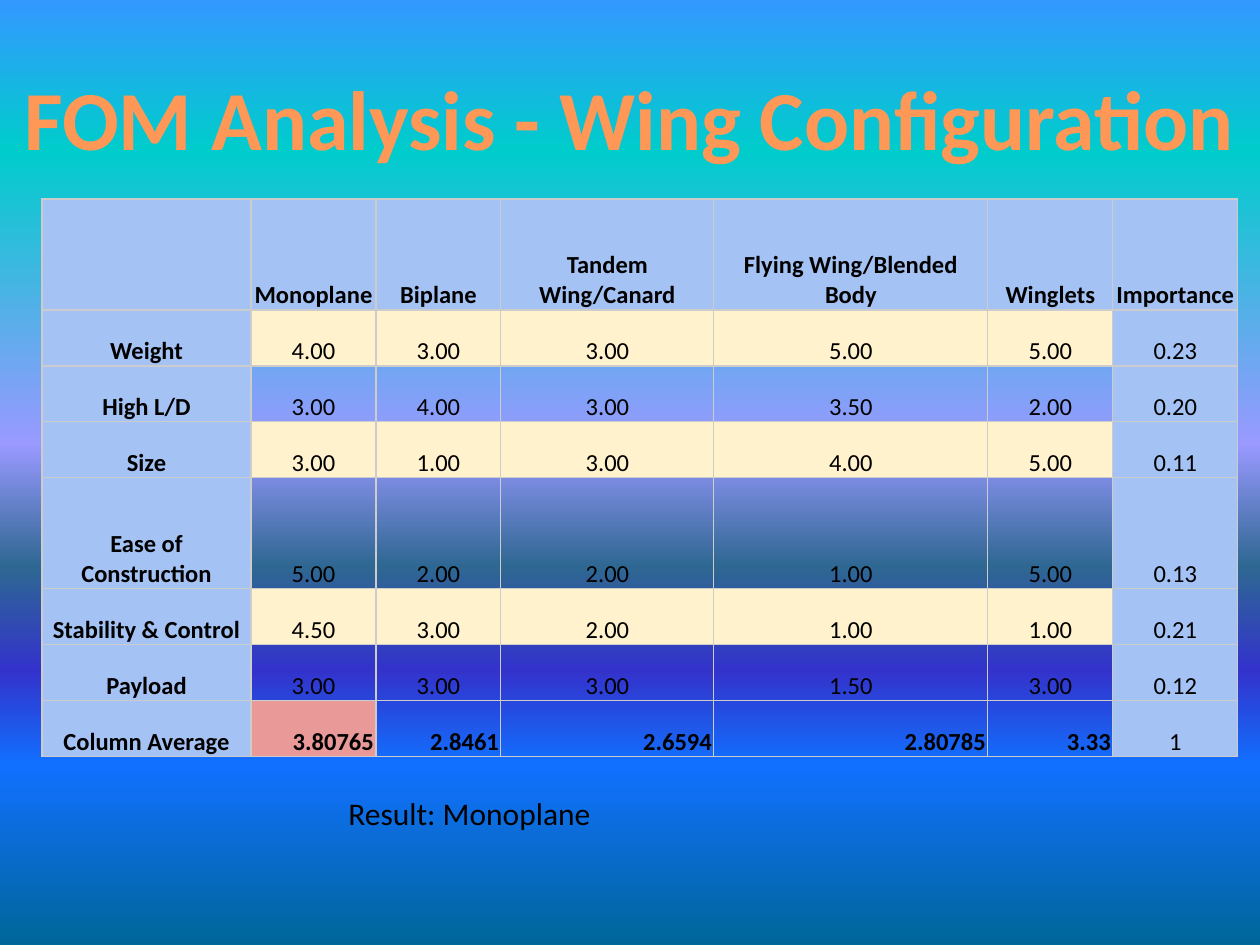
"""Build the wing configuration figure-of-merit slide."""
from lxml import etree
from pptx import Presentation
from pptx.dml.color import RGBColor
from pptx.enum.text import MSO_ANCHOR, MSO_AUTO_SIZE, PP_ALIGN
from pptx.oxml.ns import qn
from pptx.util import Pt

LEFT, CENTER, RIGHT = PP_ALIGN.LEFT, PP_ALIGN.CENTER, PP_ALIGN.RIGHT
TOP, MIDDLE, BOTTOM = MSO_ANCHOR.TOP, MSO_ANCHOR.MIDDLE, MSO_ANCHOR.BOTTOM
GROW = MSO_AUTO_SIZE.SHAPE_TO_FIT_TEXT
BLUE, CREAM, PINK, GREY = "A4C2F4", "FFF2CC", "EA9999", "CCCCCC"
STOPS = [(0, "3399FF"), (16, "00CCCC"), (47, "9999FF"), (60, "2E6792"),
         (71, "3333CC"), (81, "1170FF"), (100, "006699")]
COLS = [209, 125, 125, 213, 274, 125, 125]
ROWS = [111, 56, 56, 56, 111, 56, 56, 56]
SCORES = [
    ["", "Monoplane", "Biplane", "Tandem Wing/Canard",
     "Flying Wing/Blended Body", "Winglets", "Importance"],
    ["Weight", "4.00", "3.00", "3.00", "5.00", "5.00", "0.23"],
    ["High L/D", "3.00", "4.00", "3.00", "3.50", "2.00", "0.20"],
    ["Size", "3.00", "1.00", "3.00", "4.00", "5.00", "0.11"],
    ["Ease of Construction", "5.00", "2.00", "2.00", "1.00", "5.00", "0.13"],
    ["Stability & Control", "4.50", "3.00", "2.00", "1.00", "1.00", "0.21"],
    ["Payload", "3.00", "3.00", "3.00", "1.50", "3.00", "0.12"],
    ["Column Average", "3.80765", "2.8461", "2.6594", "2.80785", "3.33", "1"],
]


def px(count):
    """Turn pixels into EMU."""
    return round(count * 914400 / 126)


def rgb(code):
    """Turn a hex string into a colour."""
    return RGBColor.from_string(code)


def put(item, values):
    """Set attributes from a dict."""
    for name, value in values.items():
        setattr(item, name, value)


def write(frame, text, size, color="000000", bold=False, align=LEFT):
    """Write one formatted paragraph into a text frame."""
    para = frame.paragraphs[0]
    para.alignment = align
    run = para.add_run()
    run.text = text
    put(run.font, {"name": "Calibri", "size": Pt(size), "bold": bold})
    run.font.color.rgb = rgb(color)


def label(slide, box, text, size, wrap=True, anchor=TOP, **look):
    """Add a text box."""
    frame = slide.shapes.add_textbox(*map(px, box)).text_frame
    put(frame, {"word_wrap": wrap, "vertical_anchor": anchor,
                "auto_size": GROW})
    write(frame, text, size, **look)


def backdrop(slide):
    """Fill the background with a vertical gradient."""
    fill = slide.background.fill
    fill.gradient()
    fill.gradient_angle = 270
    stops = next(slide.element.iter(qn("a:gsLst")))
    for old in list(stops):
        stops.remove(old)
    for place, code in STOPS:
        stop = etree.SubElement(stops, qn("a:gs"), pos=str(place * 1000))
        etree.SubElement(stop, qn("a:srgbClr"), val=code)


def border(cell):
    """Draw a thin grey line on each side of a cell."""
    props = cell._tc.get_or_add_tcPr()
    for spot, side in enumerate(("a:lnL", "a:lnR", "a:lnT", "a:lnB")):
        line = etree.Element(qn(side), w=str(Pt(0.75)))
        solid = etree.SubElement(line, qn("a:solidFill"))
        etree.SubElement(solid, qn("a:srgbClr"), val=GREY)
        props.insert(spot, line)


def tint(row, col):
    """Pick the fill of a cell, or None for a clear one."""
    if row == 0 or col in (0, len(COLS) - 1):
        return BLUE
    if row == len(ROWS) - 1:
        return PINK if col == 1 else None
    return CREAM if row % 2 else None


def style(cell, row, col, text):
    """Fill, frame and write one cell."""
    put(cell, {"vertical_anchor": BOTTOM, "margin_left": px(2),
               "margin_right": px(2), "margin_top": 0, "margin_bottom": 0})
    code = tint(row, col)
    if code:
        cell.fill.solid()
        cell.fill.fore_color.rgb = rgb(code)
    else:
        cell.fill.background()
    border(cell)
    mean = row == len(ROWS) - 1 and 0 < col < len(COLS) - 1
    if text:
        write(cell.text_frame, text, 14, bold=row == 0 or col == 0 or mean,
              align=RIGHT if mean else CENTER)


def matrix(slide):
    """Add the score table."""
    box = (42, 199, sum(COLS), sum(ROWS))
    table = slide.shapes.add_table(len(ROWS), len(COLS), *map(px, box)).table
    put(table, {"first_row": False, "horz_banding": False})
    for col, width in zip(table.columns, COLS):
        col.width = px(width)
    for row, height in zip(table.rows, ROWS):
        row.height = px(height)
    for row, line in enumerate(SCORES):
        for col, text in enumerate(line):
            style(table.cell(row, col), row, col, text)


def main():
    """Build and save the slide."""
    deck = Presentation()
    put(deck, {"slide_width": px(1260), "slide_height": px(945)})
    slide = deck.slides.add_slide(deck.slide_layouts[6])
    backdrop(slide)
    label(slide, (5, 59, 1249, 115), "FOM Analysis - Wing Configuration", 48,
          wrap=False, anchor=MIDDLE, color="FF9856", bold=True, align=CENTER)
    label(slide, (336, 788, 546, 50), "Result: Monoplane", 18)
    matrix(slide)
    deck.save("out.pptx")


main()
